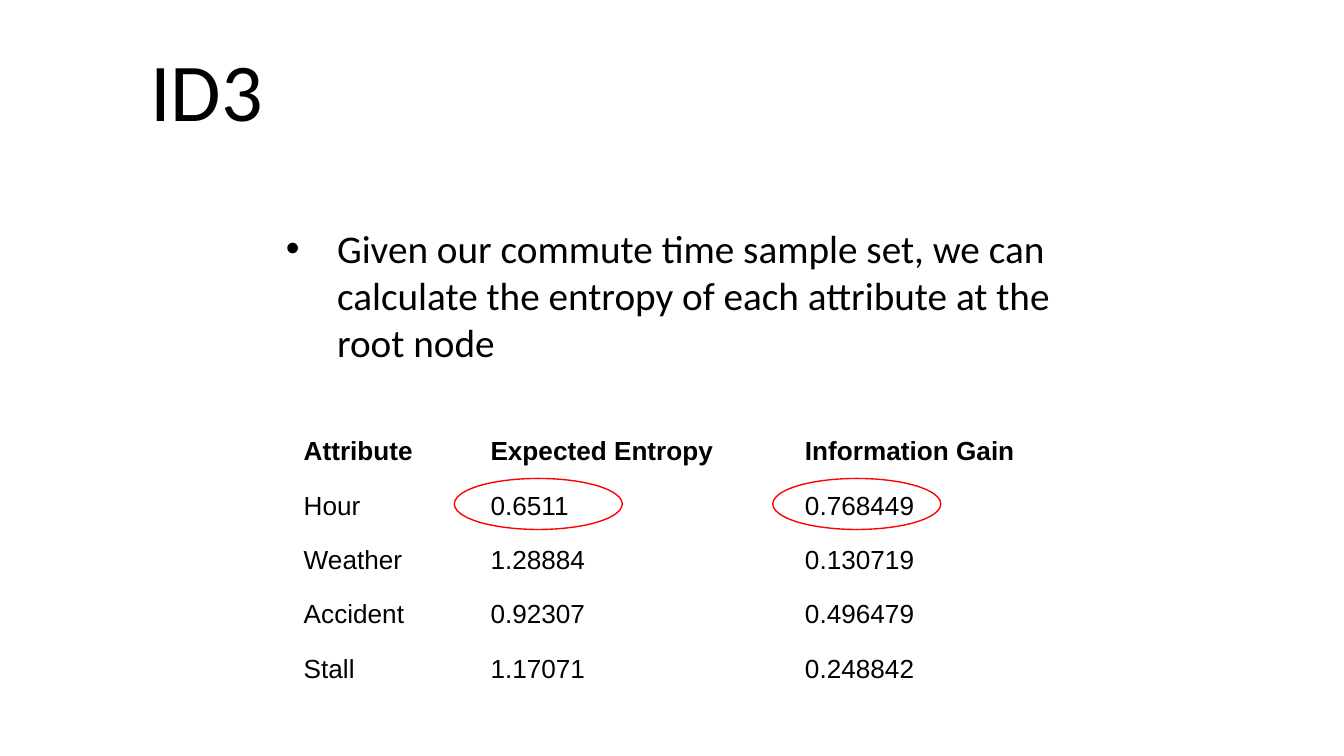
from lxml import etree
from pptx import Presentation
from pptx import util as u
from pptx.dml.color import RGBColor
from pptx.enum import shapes, text
from pptx.oxml import ns

BLACK = "000000"
RED = "FF0000"
ROWS = [
    ("Attribute", "Expected Entropy", "Information Gain"),
    ("Hour", "0.6511", "0.768449"),
    ("Weather", "1.28884", "0.130719"),
    ("Accident", "0.92307", "0.496479"),
    ("Stall", "1.17071", "0.248842"),
]
COLUMN_WIDTHS = (1.39, 2.34, 2.27)
HEADER_HEIGHT = 0.51
TABLE_HEIGHT = 2.13


def color(hex_value):
    return RGBColor.from_string(hex_value)


def style_paragraph(paragraph, name, size, bold=False):
    paragraph.font.name = name
    paragraph.font.size = u.Pt(size)
    paragraph.font.bold = bold
    paragraph.font.color.rgb = color(BLACK)


def add_text(slide, box, content, size, anchor):
    shape = slide.shapes.add_textbox(*map(u.Inches, box))
    frame = shape.text_frame
    frame.word_wrap = True
    frame.vertical_anchor = anchor
    paragraph = frame.paragraphs[0]
    paragraph.text = content
    style_paragraph(paragraph, "Calibri", size)
    return paragraph


def add_bullet(paragraph, indent):
    properties = paragraph._p.get_or_add_pPr()
    properties.set("marL", str(u.Inches(indent)))
    properties.set("indent", str(-u.Inches(indent)))
    bullet_font = etree.Element(ns.qn("a:buFont"), typeface="Arial")
    bullet = etree.Element(ns.qn("a:buChar"), char="•")
    properties.find(ns.qn("a:defRPr")).addprevious(bullet_font)
    bullet_font.addnext(bullet)


def fill_cell(cell, content, bold):
    cell.fill.background()
    cell.vertical_anchor = text.MSO_ANCHOR.BOTTOM
    cell.margin_left = cell.margin_right = u.Inches(0.07)
    cell.margin_top = cell.margin_bottom = u.Inches(0.04)
    paragraph = cell.text_frame.paragraphs[0]
    paragraph.text = content
    style_paragraph(paragraph, "Arial", 14, bold)


def add_entropy_table(slide, left, top):
    frame = slide.shapes.add_table(
        len(ROWS), len(COLUMN_WIDTHS), u.Inches(left), u.Inches(top),
        u.Inches(sum(COLUMN_WIDTHS)), u.Inches(TABLE_HEIGHT))
    table = frame.table
    table.horz_banding = False
    table.first_row = False
    for column, width in zip(table.columns, COLUMN_WIDTHS):
        column.width = u.Inches(width)
    body_height = (TABLE_HEIGHT - HEADER_HEIGHT) / (len(ROWS) - 1)
    for row_index, values in enumerate(ROWS):
        header = row_index == 0
        height = HEADER_HEIGHT if header else body_height
        table.rows[row_index].height = u.Inches(height)
        for column_index, value in enumerate(values):
            fill_cell(table.cell(row_index, column_index), value, header)


def add_highlight(slide, left, top):
    shape = slide.shapes.add_shape(
        shapes.MSO_SHAPE.OVAL, u.Inches(left), u.Inches(top),
        u.Inches(1.25), u.Inches(0.38))
    shape.shadow.inherit = False
    shape.fill.background()
    shape.line.color.rgb = color(RED)
    shape.line.width = u.Pt(0.75)


def main():
    presentation = Presentation()
    presentation.slide_width = u.Inches(10)
    presentation.slide_height = u.Inches(10) * 9 // 16
    slide = presentation.slides.add_slide(presentation.slide_layouts[6])
    add_text(slide, (1.02, 0.08, 7.83, 1.16), "ID3", 44,
             text.MSO_ANCHOR.MIDDLE)
    statement = add_text(
        slide, (2.03, 1.62, 6.1, 1.19),
        "Given our commute time sample set, we can calculate the entropy "
        "of each attribute at the root node", 21, text.MSO_ANCHOR.TOP)
    statement.space_before = u.Pt(1.5)
    add_bullet(statement, 0.38)
    add_entropy_table(slide, 2.19, 3)
    for left in (3.38, 5.75):
        add_highlight(slide, left, 3.56)
    presentation.save("out.pptx")


if __name__ == "__main__":
    main()
